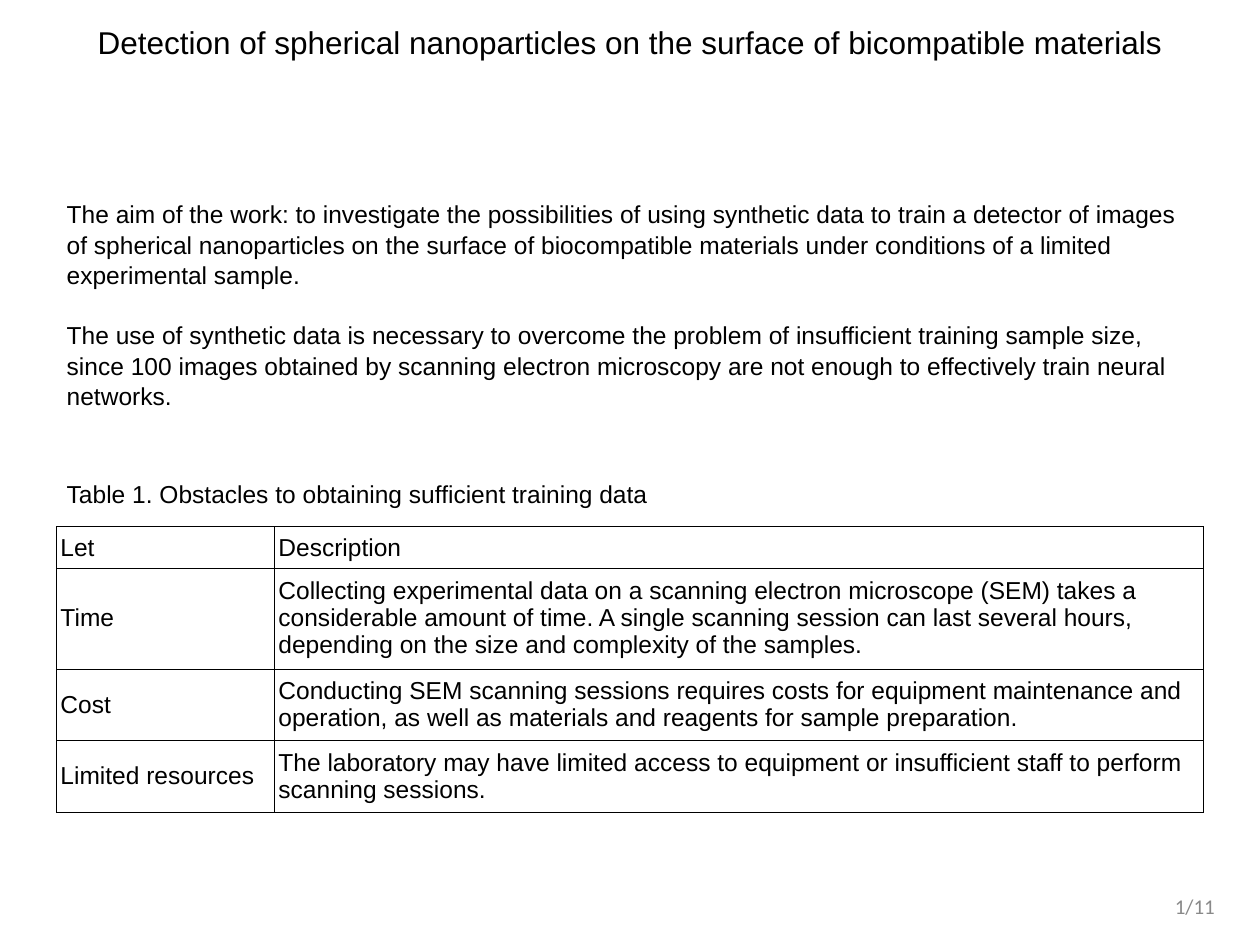
import pptx
import pptx.dml.color
import pptx.enum.text
import pptx.oxml.ns
import pptx.util
from lxml import etree

Inches = pptx.util.Inches
Pt = pptx.util.Pt
Align = pptx.enum.text.PP_ALIGN
Anchor = pptx.enum.text.MSO_ANCHOR
BLACK = pptx.dml.color.RGBColor(0x00, 0x00, 0x00)
GREY = pptx.dml.color.RGBColor(0x89, 0x89, 0x89)

TITLE = "Detection of spherical nanoparticles on the surface of bicompatible materials"
AIM = [
    "The aim of the work: to investigate the possibilities of using synthetic data to train "
    "a detector of images of spherical nanoparticles on the surface of biocompatible materials "
    "under conditions of a limited experimental sample.",
    "The use of synthetic data is necessary to overcome the problem of insufficient training "
    "sample size, since 100 images obtained by scanning electron microscopy are not enough to "
    "effectively train neural networks.",
]
CAPTION = "Table 1. Obstacles to obtaining sufficient training data"
OBSTACLES = [
    ("Let", "Description"),
    ("Time",
     "Collecting experimental data on a scanning electron microscope (SEM) takes a considerable "
     "amount of time. A single scanning session can last several hours, depending on the size "
     "and complexity of the samples."),
    ("Cost",
     "Conducting SEM scanning sessions requires costs for equipment maintenance and operation, "
     "as well as materials and reagents for sample preparation."),
    ("Limited resources",
     "The laboratory may have limited access to equipment or insufficient staff to perform "
     "scanning sessions."),
]


class SlideWriter:
    font = "Arial"
    body_size = 14
    body_spacing = 1.04
    table_spacing = 0.98
    border_width = 0.45

    def __init__(self, page):
        self.page = page

    def format_text(self, frame, size=body_size, font=font, color=BLACK,
                    align=Align.LEFT, spacing=body_spacing, gap=0):
        """Style every paragraph; gap is the space in points between paragraphs."""
        for index, paragraph in enumerate(frame.paragraphs):
            paragraph.alignment = align
            paragraph.line_spacing = spacing
            paragraph.space_before = Pt(gap if index else 0)
            for span in paragraph.runs:
                span.font.size = Pt(size)
                span.font.name = font
                span.font.color.rgb = color

    def fill_box(self, box, place, text, anchor=Anchor.TOP, margins=(0.08, 0.04), **style):
        box.left, box.top, box.width, box.height = map(Inches, place)
        frame = box.text_frame
        frame.word_wrap = True
        frame.vertical_anchor = anchor
        frame.margin_left = frame.margin_right = Inches(margins[0])
        frame.margin_top = frame.margin_bottom = Inches(margins[1])
        frame.text = text
        self.format_text(frame, **style)

    def title(self, place, text):
        self.fill_box(self.page.shapes.title, place, text, size=18, align=Align.CENTER)

    def text(self, place, text, **style):
        box = self.page.shapes.add_textbox(*map(Inches, place))
        self.fill_box(box, place, text, **style)

    def border(self, cell):
        properties = cell._tc.get_or_add_tcPr()
        for side in ("a:lnL", "a:lnR", "a:lnT", "a:lnB"):
            line = etree.SubElement(properties, pptx.oxml.ns.qn(side),
                                    w=str(int(Pt(self.border_width))))
            fill = etree.SubElement(line, pptx.oxml.ns.qn("a:solidFill"))
            etree.SubElement(fill, pptx.oxml.ns.qn("a:srgbClr"), val=str(BLACK))

    def table(self, left, top, widths, heights, rows):
        place = (left, top, sum(widths), sum(heights))
        table = self.page.shapes.add_table(len(rows), len(widths), *map(Inches, place)).table
        table.horz_banding = False
        table.first_row = False
        for column, width in zip(table.columns, widths):
            column.width = Inches(width)
        for row_index, (row, height, texts) in enumerate(zip(table.rows, heights, rows)):
            row.height = Inches(height)
            for cell, text in zip(row.cells, texts):
                cell.text = text
                cell.vertical_anchor = Anchor.MIDDLE if row_index else Anchor.BOTTOM
                cell.margin_left = cell.margin_right = Inches(0.03)
                cell.margin_top = cell.margin_bottom = Inches(0.05)
                self.border(cell)
                cell.fill.background()
                self.format_text(cell.text_frame, spacing=self.table_spacing)


def main():
    deck = pptx.Presentation()
    deck.slide_width = Inches(10)
    deck.slide_height = Inches(7.5)
    writer = SlideWriter(deck.slides.add_slide(deck.slide_layouts[5]))

    left, width = 0.45, 9.1
    writer.text((7.49, 7.04, 2.25, 0.3), "1/11", anchor=Anchor.MIDDLE, margins=(0.1, 0.05),
                size=12, font="Calibri", color=GREY, align=Align.RIGHT, spacing=1.0)
    writer.title((0.64, 0.13, 8.72, 0.38), TITLE)
    writer.table(left, 4.18, (1.73, width - 1.73), (0.33, 0.8, 0.57, 0.57), OBSTACLES)
    writer.text((left, 3.75, width, 0.31), CAPTION)
    writer.text((left, 1.53, width, 1.71), "\n".join(AIM), gap=16.8)
    deck.save("out.pptx")


if __name__ == "__main__":
    main()
